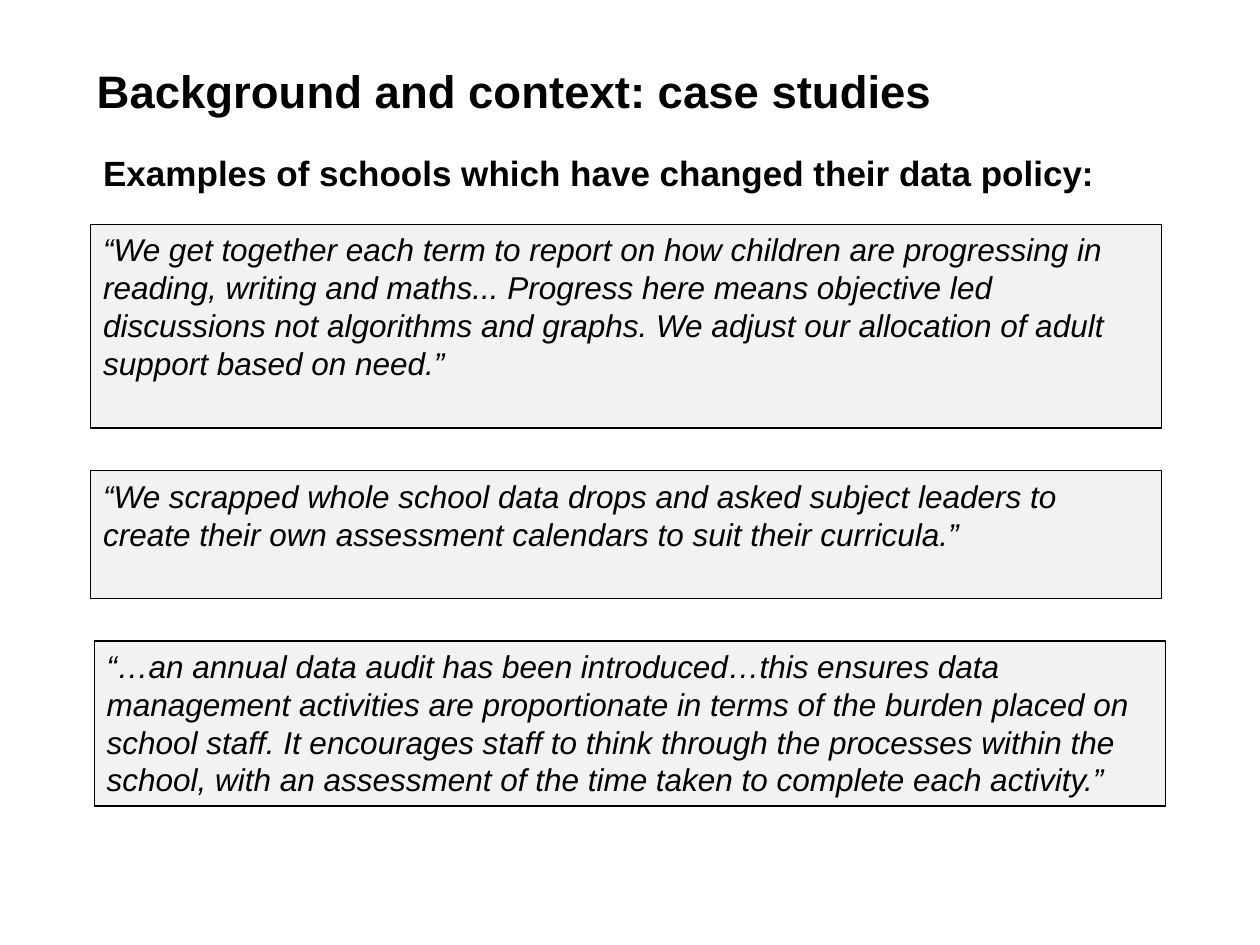
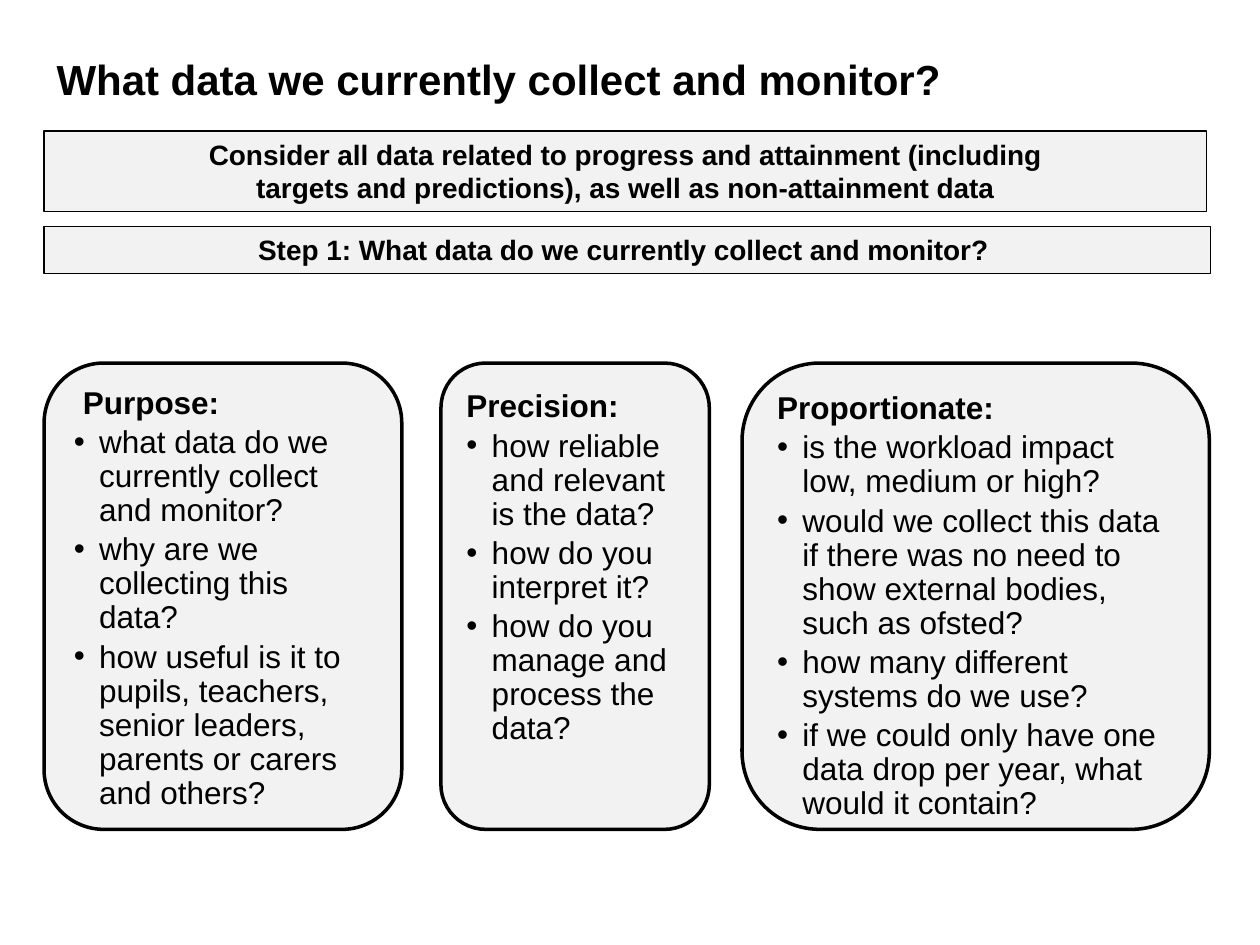
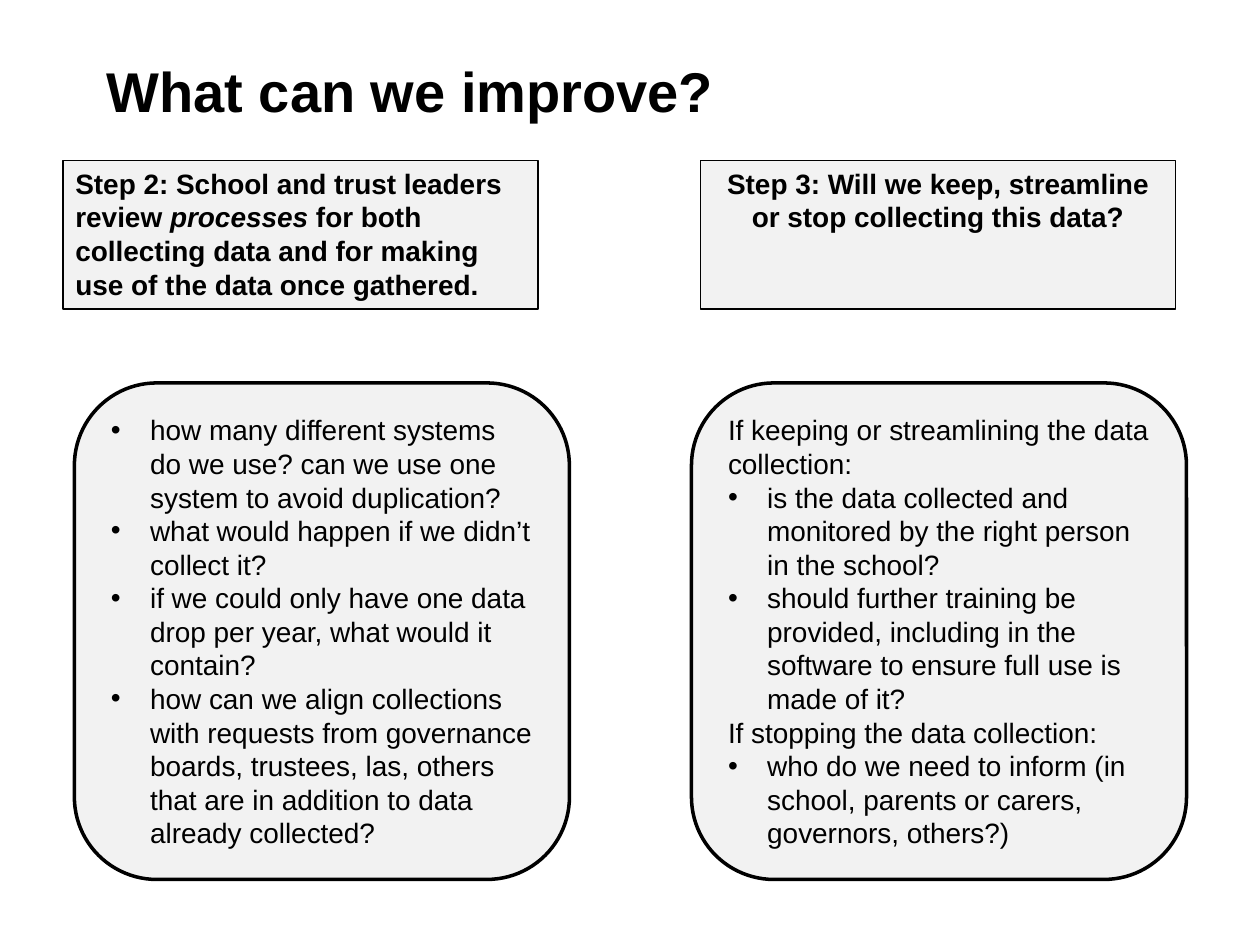
from lxml import etree
from pptx import Presentation
from pptx.dml.color import RGBColor
from pptx.enum.shapes import MSO_SHAPE
from pptx.enum.text import MSO_ANCHOR, PP_ALIGN
from pptx.oxml.ns import qn
from pptx.util import Cm, Pt

RECTANGLE = MSO_SHAPE.RECTANGLE
ROUNDED = MSO_SHAPE.ROUNDED_RECTANGLE
TOP, MIDDLE = MSO_ANCHOR.TOP, MSO_ANCHOR.MIDDLE
LEFT, CENTER = PP_ALIGN.LEFT, PP_ALIGN.CENTER

COLORS = {"text": "000000", "panel": "F2F2F2", "outline": "000000"}
FONT = "Arial"
BLANK_LAYOUT = 6

QUOTE_GAP = 0.86
QUOTES = [
    (1.83, 4.11, "“We get together each term to report on how children are progressing in "
     "reading, writing and maths... Progress here means objective led discussions not "
     "algorithms and graphs. We adjust our allocation of adult support based on need.”"),
    (1.83, 2.57, "“We scrapped whole school data drops and asked subject leaders to create "
     "their own assessment calendars to suit their curricula.”"),
    (1.9, 3.33, "“…an annual data audit has been introduced…this ensures data management "
     "activities are proportionate in terms of the burden placed on school staff. It "
     "encourages staff to think through the processes within the school, with an "
     "assessment of the time taken to complete each activity.”"),
]

QUESTION_CARDS = [
    (0.89, 7.21, 0.13, 0.18, "Purpose:", [
        "what data do we currently collect and monitor?",
        "why are we collecting this data?",
        "how useful is it to pupils, teachers, senior leaders, parents or carers and others?",
    ]),
    (8.89, 5.41, 0.29, 0, "Precision:", [
        "how reliable and relevant is the data?",
        "how do you interpret it?",
        "how do you manage and process the data?",
    ]),
    (14.96, 9.42, 0.13, 0, "Proportionate:", [
        "is the workload impact low, medium or high?",
        "would we collect this data if there was no need to show external bodies, "
        "such as ofsted?",
        "how many different systems do we use?",
        "if we could only have one data drop per year, what would it contain?",
    ]),
]

STEPS = [
    (1.27, LEFT, [
        ("Step 2: School and trust leaders review ", False),
        ("processes ", True),
        ("for both collecting data and for making use of the data once gathered.", False),
    ]),
    (14.12, CENTER, [
        ("Step 3: Will we keep, streamline or stop collecting this data?", False),
    ]),
]

IMPROVEMENT_CARDS = [
    (1.5, [
        ("how many different systems do we use? can we use one system to avoid "
         "duplication?", True),
        ("what would happen if we didn’t collect it?", True),
        ("if we could only have one data drop per year, what would it contain?", True),
        ("how can we align collections with requests from governance boards, trustees, "
         "las, others that are in addition to data already collected?", True),
    ]),
    (13.94, [
        ("If keeping or streamlining the data collection:", False),
        ("is the data collected and monitored by the right person in the school?", True),
        ("should further training be provided, including in the software to ensure full "
         "use is made of it?", True),
        ("If stopping the data collection:", False),
        ("who do we need to inform (in school, parents or carers, governors, others?)", True),
    ]),
]


def color(name):
    return RGBColor.from_string(COLORS[name])


def add_run(paragraph, text, size, bold=False, italic=False):
    run = paragraph.add_run()
    run.text = text
    font = run.font
    font.name, font.size = FONT, Pt(size)
    font.bold, font.italic = bold, italic
    font.color.rgb = color("text")


def next_paragraph(shape, first, alignment=LEFT):
    frame = shape.text_frame
    paragraph = frame.paragraphs[0] if first else frame.add_paragraph()
    paragraph.alignment = alignment
    return paragraph


def set_bullet(paragraph, indent):
    properties = paragraph._p.get_or_add_pPr()
    properties.set("marL", str(Cm(indent)))
    properties.set("indent", str(-Cm(indent)))
    etree.SubElement(properties, qn("a:buFont")).set("typeface", FONT)
    etree.SubElement(properties, qn("a:buChar")).set("char", "•")


def add_label(slide, left, top, width, height, text, size, anchor=MIDDLE, spacing=1.0):
    shape = slide.shapes.add_textbox(Cm(left), Cm(top), Cm(width), Cm(height))
    shape.text_frame.word_wrap = True
    shape.text_frame.vertical_anchor = anchor
    paragraph = next_paragraph(shape, True)
    paragraph.line_spacing = spacing
    add_run(paragraph, text, size, bold=True)


def add_panel(slide, kind, left, top, width, height, line_width, anchor=TOP):
    shape = slide.shapes.add_shape(kind, Cm(left), Cm(top), Cm(width), Cm(height))
    shape.shadow.inherit = False
    shape.fill.solid()
    shape.fill.fore_color.rgb = color("panel")
    shape.line.color.rgb = color("outline")
    shape.line.width = Pt(line_width)
    shape.text_frame.word_wrap = True
    shape.text_frame.vertical_anchor = anchor
    return shape


def add_box(slide, left, top, width, height):
    return add_panel(slide, RECTANGLE, left, top, width, height, 0.75)


def add_card(slide, left, top, width, height, anchor=TOP):
    return add_panel(slide, ROUNDED, left, top, width, height, 2, anchor)


def add_banner(slide, top, width, height, side_margin, text):
    banner = add_box(slide, 0.89, top, width, height)
    banner.text_frame.margin_left = banner.text_frame.margin_right = Cm(side_margin)
    add_run(next_paragraph(banner, True, CENTER), text, 16, bold=True)


def add_question_card(slide, left, width, top_margin, heading_indent, heading, questions):
    card = add_card(slide, left, 7.32, width, 9.4)
    card.text_frame.margin_top = Cm(top_margin)
    for index, text in enumerate([heading, *questions]):
        is_heading = index == 0
        paragraph = next_paragraph(card, is_heading)
        paragraph.line_spacing = 0.9
        paragraph.space_after = Pt(3)
        if is_heading:
            paragraph._p.get_or_add_pPr().set("marL", str(Cm(heading_indent)))
        else:
            set_bullet(paragraph, 0.51)
        add_run(paragraph, text, 18, bold=is_heading)


def add_improvement_card(slide, left, items):
    card = add_card(slide, left, 7.72, 9.98, 10.01, MIDDLE)
    for index, (text, bulleted) in enumerate(items):
        paragraph = next_paragraph(card, index == 0)
        if bulleted:
            set_bullet(paragraph, 0.79)
        add_run(paragraph, text, 16)


def build_case_studies(slide):
    add_label(slide, 1.7, 0.43, 21.79, 2.79, "Background and context: case studies", 26)
    add_label(slide, 1.83, 3.1, 21.79, 0.99,
              "Examples of schools which have changed their data policy:", 20, TOP, 0.8)
    top = 4.52
    for left, height, quote in QUOTES:
        box = add_box(slide, left, top, 21.59, height)
        add_run(next_paragraph(box, True), quote, 18, italic=True)
        top += height + QUOTE_GAP


def build_current_data(slide):
    add_label(slide, 0.89, 0.69, 21.59, 1.8,
              "What data we currently collect and monitor?", 24)
    add_banner(slide, 2.64, 23.44, 1.63, 3,
               "Consider all data related to progress and attainment (including targets "
               "and predictions), as well as non-attainment data")
    add_banner(slide, 4.57, 23.52, 0.94, 0.25,
               "Step 1: What data do we currently collect and monitor? ")
    for card in QUESTION_CARDS:
        add_question_card(slide, *card)


def build_improvements(slide):
    add_label(slide, 1.9, 0.91, 21.59, 1.8, "What can we improve?", 32)
    for left, alignment, runs in STEPS:
        box = add_box(slide, left, 3.23, 9.58, 3)
        paragraph = next_paragraph(box, True, alignment)
        for text, italic in runs:
            add_run(paragraph, text, 16, bold=True, italic=italic)
    for left, items in IMPROVEMENT_CARDS:
        add_improvement_card(slide, left, items)


def main():
    presentation = Presentation()
    presentation.slide_width, presentation.slide_height = Cm(25.4), Cm(19.05)
    for build in (build_case_studies, build_current_data, build_improvements):
        build(presentation.slides.add_slide(presentation.slide_layouts[BLANK_LAYOUT]))
    presentation.save("out.pptx")


if __name__ == "__main__":
    main()
